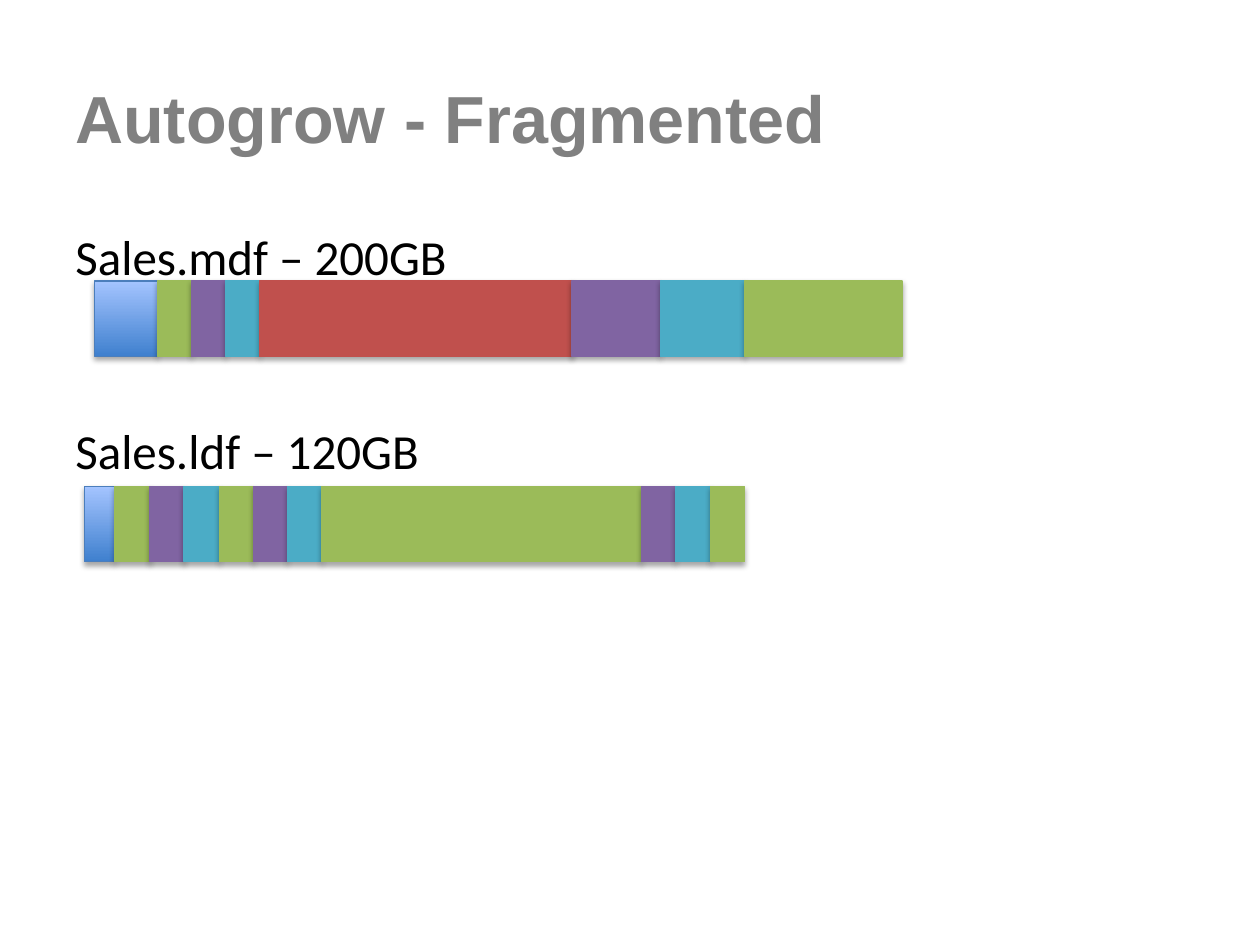
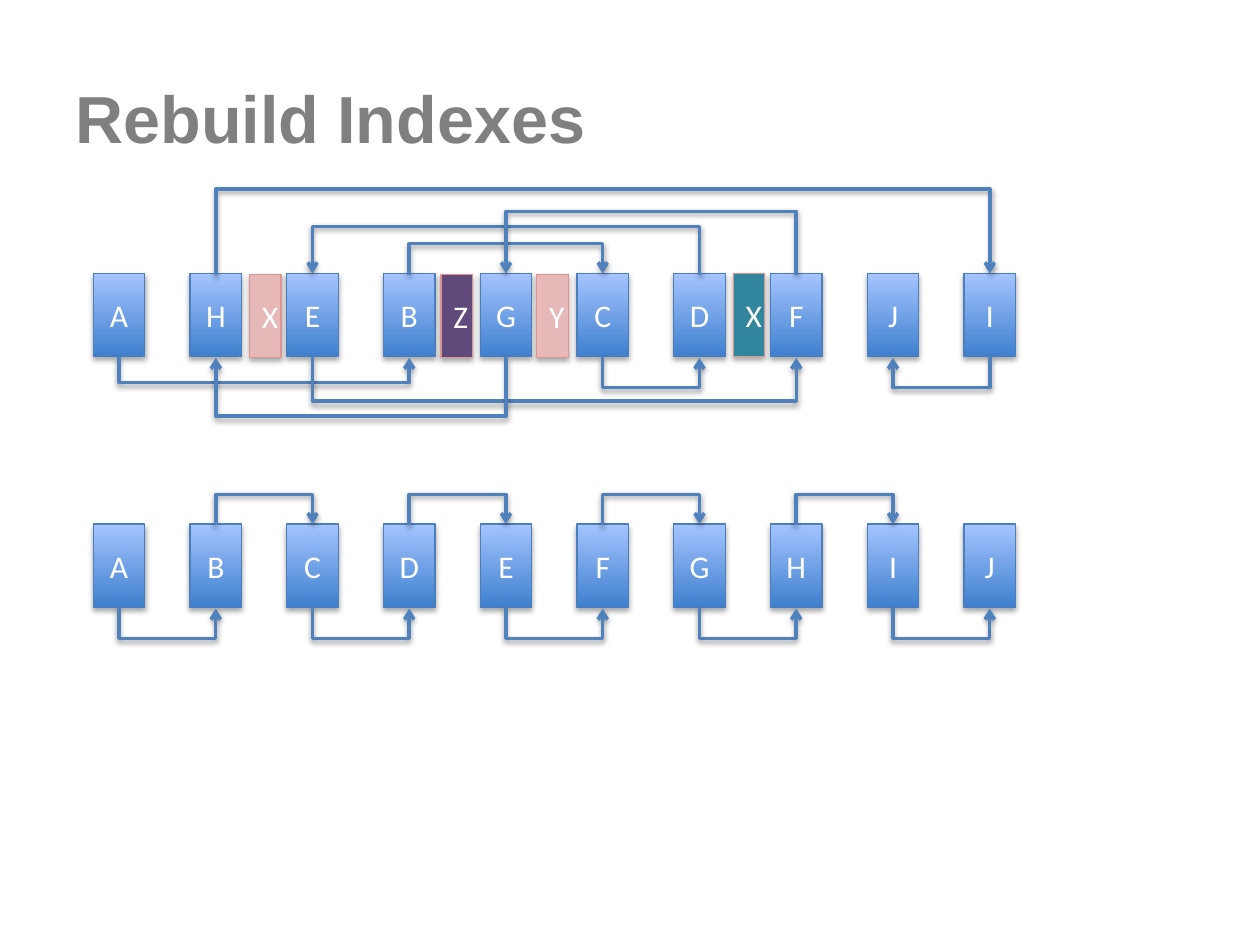
from lxml.etree import SubElement
from pptx import Presentation
from pptx.dml.color import RGBColor
from pptx.enum.shapes import MSO_CONNECTOR, MSO_SHAPE
from pptx.enum.text import MSO_ANCHOR, PP_ALIGN
from pptx.oxml.ns import qn
from pptx.util import Pt

EMU_PER_PX = 9144  # 100 px to the inch
COLOURS = {
    "title": "808080", "text": "000000", "label": "FFFFFF", "shadow": "000000",
    "blue_dark": "3F80CE", "blue_light": "A4C4FF", "blue_edge": "4B7EBC",
    "link": "4F81BD", "green": "9BBB59", "purple": "8064A2",
    "teal": "4BACC6", "red": "C0504D", "pink": "E6B9B8",
    "pink_edge": "D99694", "deep_purple": "604A7B", "deep_teal": "31859C",
}
TITLE_FONT = {"name": "Arial", "size": Pt(38), "bold": True}
BODY_FONT = {"name": "Calibri", "size": Pt(28)}
LABEL_FONT = {"name": "Calibri", "size": Pt(18)}
TITLE_BOX = (50, 30, 900, 125)
TOP_SITE, BOTTOM_SITE = 0, 2
PAGE_WIDTH = 41


def px(length):
    return round(length * EMU_PER_PX)


def colour(name):
    return RGBColor.from_string(COLOURS[name])


def write(frame, text, font_values, colour_name):
    para = frame.paragraphs[0]
    span = para.add_run()
    span.text = text
    for name, value in font_values.items():
        setattr(span.font, name, value)
    span.font.color.rgb = colour(colour_name)
    return para


def add_text(slide, box, text, font_values, colour_name, anchor=MSO_ANCHOR.TOP):
    frame = slide.shapes.add_textbox(*map(px, box)).text_frame
    frame.word_wrap = True
    frame.vertical_anchor = anchor
    write(frame, text, font_values, colour_name)


def add_titled_slide(deck, title):
    slide = deck.slides.add_slide(deck.slide_layouts[6])
    add_text(slide, TITLE_BOX, title, TITLE_FONT, "title", MSO_ANCHOR.MIDDLE)
    return slide


def cast_shadow(effects, distance, opacity):
    """Fill an effect list with a soft shadow that falls straight down."""
    shadow = SubElement(effects, qn("a:outerShdw"), blurRad="40000",
                        dist=str(distance), dir="5400000", rotWithShape="0")
    tint = SubElement(shadow, qn("a:srgbClr"), val=COLOURS["shadow"])
    SubElement(tint, qn("a:alpha"), val=str(opacity * 1000))


def add_block(slide, box, fill="blue", edge=None, label=None):
    """Add a shadowed rectangle; "blue" stands for the shared gradient."""
    block = slide.shapes.add_shape(MSO_SHAPE.RECTANGLE, *map(px, box))
    if fill == "blue":
        block.fill.gradient()
        block.fill.gradient_angle = 90
        for stop, name in zip(block.fill.gradient_stops, ("blue_dark", "blue_light")):
            stop.color.rgb = colour(name)
        edge = "blue_edge"
    else:
        block.fill.solid()
        block.fill.fore_color.rgb = colour(fill)
    block.line.color.rgb = colour(edge or fill)
    block.line.width = Pt(0.75)
    block.shadow.inherit = False
    cast_shadow(block.element.spPr.find(qn("a:effectLst")), 23000, 35)
    if label:
        block.text_frame.vertical_anchor = MSO_ANCHOR.MIDDLE
        write(block.text_frame, label, LABEL_FONT, "label").alignment = PP_ALIGN.CENTER
    return block


def add_file_bar(slide, left, top, segments):
    """Lay the (colour, width) growth segments of a file end to end."""
    for fill, width in segments:
        add_block(slide, (left, top, width, 60), fill)
        left += width


def add_link(slide, source, target, site, depth):
    """Join two pages by an arrow that leaves and enters on the same side."""
    link = slide.shapes.add_connector(MSO_CONNECTOR.ELBOW, 0, 0, 0, 0)
    link.begin_connect(source, site)
    link.end_connect(target, site)

    # The elbow is a one-pixel-wide box turned by a quarter.
    above = site == TOP_SITE
    rightward = target.left > source.left
    side = source.top + (0 if above else source.height)
    middle = (source.left + target.left + source.width) // 2
    reach = abs(target.left - source.left)
    link.width, link.height = px(1), reach
    link.left, link.top = middle - px(0.5), side + px(0.5) - reach // 2
    properties = link.element.spPr
    turn = 90 if rightward == above else 270
    for name, value in {"rot": turn * 60000, "flipH": int(rightward),
                        "flipV": int(above)}.items():
        properties.find(qn("a:xfrm")).set(name, str(value))
    guides = properties.find(qn("a:prstGeom")).get_or_add_avLst()
    SubElement(guides, qn("a:gd"), name="adj1", fmla=f"val {depth * 100000}")

    link.line.color.rgb = colour("link")
    link.line.width = Pt(2)
    SubElement(properties.find(qn("a:ln")), qn("a:tailEnd"), type="arrow")
    cast_shadow(SubElement(properties, qn("a:effectLst")), 20000, 38)


def add_page_chain(slide, box, letters, depths):
    """Spread index pages over the box and link them in alphabetical order."""
    left, top, width, height = box
    pitch = (width - PAGE_WIDTH) / (len(letters) - 1)
    pages = {
        letter: add_block(slide, (left + place * pitch, top, PAGE_WIDTH, height),
                          label=letter)
        for place, letter in enumerate(letters)
    }
    order = sorted(letters)
    for step, (source, target, depth) in enumerate(zip(order, order[1:], depths)):
        site = TOP_SITE if step % 2 else BOTTOM_SITE
        add_link(slide, pages[source], pages[target], site, depth)


def add_foreign_pages(slide, box, pages):
    """Put pages of other objects into the gaps of a chain."""
    left, top, _, height = box
    for label, offset, drop, fill in pages:
        add_block(slide, (left + offset, top + drop, 25, height),
                  fill, "pink_edge", label)


def build_autogrow(deck):
    slide = add_titled_slide(deck, "Autogrow - Fragmented")
    add_text(slide, (50, 175, 828, 108), "Sales.mdf – 200GB", BODY_FONT, "text")
    add_file_bar(slide, 75, 223, [
        ("blue", 50), ("green", 27), ("purple", 27), ("teal", 27),
        ("red", 248), ("purple", 70), ("teal", 67), ("green", 125)])
    add_text(slide, (50, 329, 900, 57), "Sales.ldf – 120GB", BODY_FONT, "text")
    add_file_bar(slide, 67, 386, [
        ("blue", 24), ("green", 28), ("purple", 27), ("teal", 28),
        ("green", 27), ("purple", 27), ("teal", 27), ("green", 254),
        ("purple", 27), ("teal", 28), ("green", 27)])


def build_rebuild_indexes(deck):
    slide = add_titled_slide(deck, "Rebuild Indexes")
    fragmented, rebuilt = (74, 217, 732, 66), (74, 416, 732, 66)
    add_page_chain(slide, fragmented, "AHEBGCDFJI",
                   [21, 25, 25, 39, 36, 51, 48, 69, 25])
    add_foreign_pages(slide, fragmented, [
        ("X", 124, 1, "pink"), ("Y", 352, 1, "pink"),
        ("Z", 276, 1, "deep_purple"), ("X", 508, 0, "deep_teal")])
    add_page_chain(slide, rebuilt, "ABCDEFGHIJ", [25] * 9)


def main():
    deck = Presentation()
    deck.slide_width, deck.slide_height = px(1000), px(750)
    build_autogrow(deck)
    build_rebuild_indexes(deck)
    deck.save("out.pptx")


if __name__ == "__main__":
    main()
